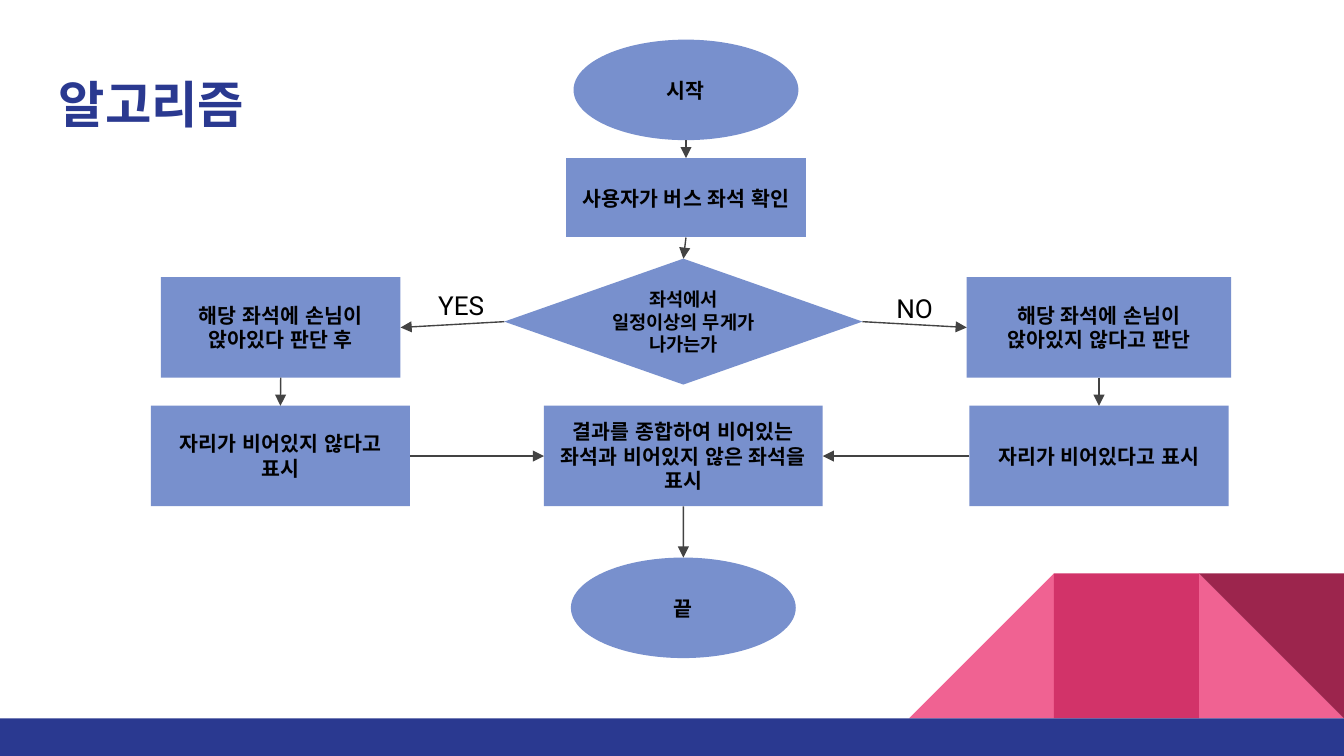
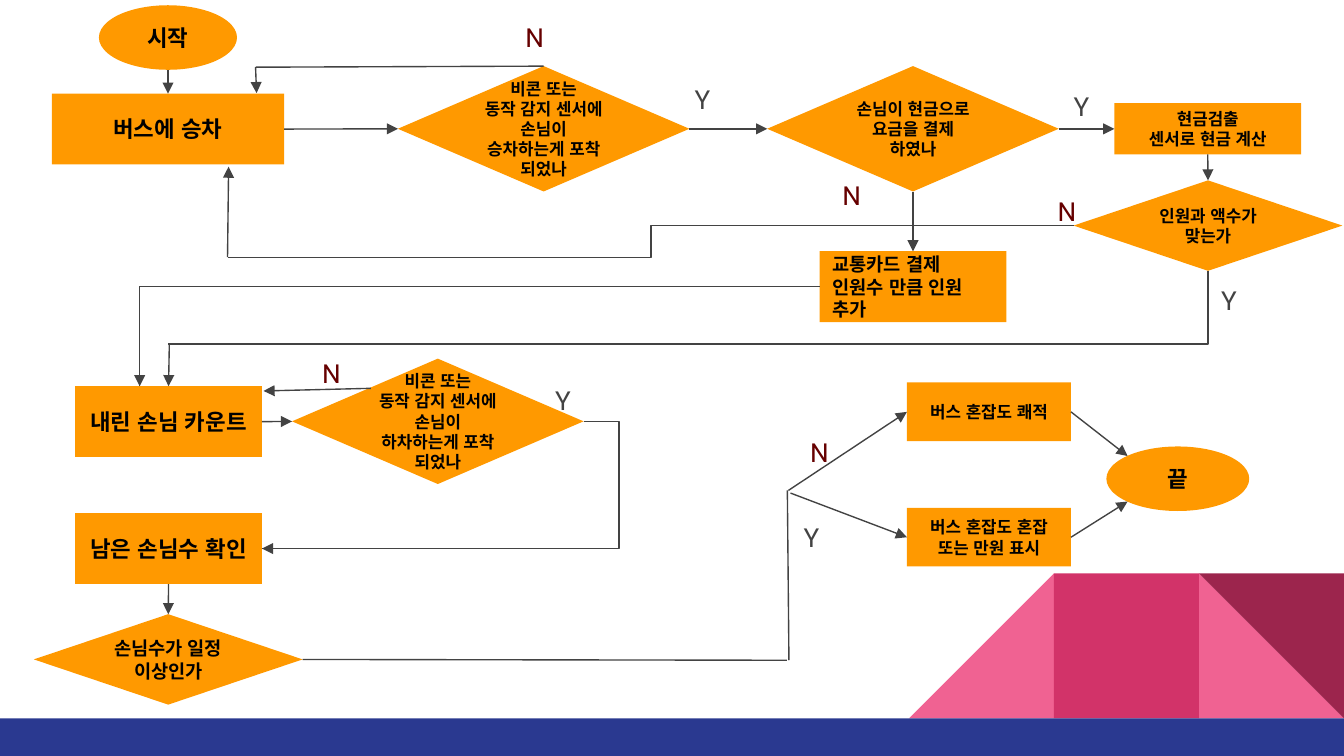
from dataclasses import dataclass

from lxml import etree
from pptx import Presentation
from pptx.dml.color import RGBColor
from pptx.enum.shapes import MSO_CONNECTOR, MSO_SHAPE
from pptx.enum.text import MSO_ANCHOR, MSO_AUTO_SIZE, PP_ALIGN
from pptx.oxml.ns import qn
from pptx.util import Cm, Pt

COLORS = {
    "navy": "2A3990", "pink": "F06292", "rose": "D23369", "wine": "9C254D",
    "blue": "7890CD", "orange": "FF9900", "black": "000000",
    "gray": "434343", "maroon": "660000",
}
RECT, OVAL = MSO_SHAPE.RECTANGLE, MSO_SHAPE.OVAL
PROCESS, DECISION = MSO_SHAPE.FLOWCHART_PROCESS, MSO_SHAPE.FLOWCHART_DECISION
JOINT, TRIANGLE = MSO_SHAPE.FLOWCHART_CONNECTOR, MSO_SHAPE.RIGHT_TRIANGLE
STRAIGHT, ELBOW = MSO_CONNECTOR.STRAIGHT, MSO_CONNECTOR.ELBOW
LEFT, CENTER = PP_ALIGN.LEFT, PP_ALIGN.CENTER
TOP, MIDDLE = MSO_ANCHOR.TOP, MSO_ANCHOR.MIDDLE
FIT_TEXT = MSO_AUTO_SIZE.SHAPE_TO_FIT_TEXT
NORTH, WEST, SOUTH, EAST = range(4)

SLIDE_W, SLIDE_H = 25.4, 14.29
BAND_TOP = 13.58
TILE = 2.74
INSET = 0.25
Point = tuple[float, float]


@dataclass(frozen=True)
class Node:
    kind: int
    x: float
    y: float
    w: float
    h: float
    text: str
    size: float
    align: int = CENTER

    def side(self, number: int) -> Point:
        return {
            NORTH: (self.x + self.w / 2, self.y),
            WEST: (self.x, self.y + self.h / 2),
            SOUTH: (self.x + self.w / 2, self.y + self.h),
            EAST: (self.x + self.w, self.y + self.h / 2),
        }[number]


@dataclass(frozen=True)
class Site:
    node: Node
    side: int


@dataclass(frozen=True)
class Link:
    start: Site | Point
    end: Site | Point
    arrow: bool = True


@dataclass(frozen=True)
class Bend:
    start: Point
    end: Point
    turn: float | None = None


@dataclass(frozen=True)
class Label:
    text: str
    x: float
    y: float
    w: float
    color: str


def yes(x: float, y: float) -> Label:
    return Label("Y", x, y, 0.56, "gray")


def no(x: float, y: float) -> Label:
    return Label("N", x, y, 1.17, "maroon")


def write(frame, text: str, *, size: float, font: str = "Arial", color: str = "black",
          bold: bool = False, align: int = LEFT, anchor: int = TOP) -> None:
    frame.word_wrap = True
    frame.vertical_anchor = anchor
    frame.margin_left = frame.margin_right = Cm(INSET)
    frame.margin_top = frame.margin_bottom = Cm(INSET)
    for index, line in enumerate(text.split("\n")):
        paragraph = frame.paragraphs[0] if index == 0 else frame.add_paragraph()
        paragraph.alignment = align
        run = paragraph.add_run()
        run.text = line
        run.font.size = Pt(size)
        run.font.bold = bold
        run.font.name = font
        run.font.color.rgb = RGBColor.from_string(COLORS[color])
        etree.SubElement(run.font._element, qn("a:ea"), typeface=font)


def draw_box(shapes, kind: int, x: float, y: float, w: float, h: float, color: str):
    box = shapes.add_shape(kind, Cm(x), Cm(y), Cm(w), Cm(h))
    box.shadow.inherit = False
    box.fill.solid()
    box.fill.fore_color.rgb = RGBColor.from_string(COLORS[color])
    box.line.fill.background()
    return box


def draw_backdrop(slide) -> None:
    shapes = slide.shapes.add_group_shape().shapes
    roof = BAND_TOP - TILE
    left, middle, right = (SLIDE_W - TILE * count for count in (3, 2, 1))
    draw_box(shapes, TRIANGLE, right, roof, TILE, TILE, "pink")
    slope = draw_box(shapes, TRIANGLE, left, roof, TILE, TILE, "pink")
    slope._element.spPr.find(qn("a:xfrm")).set("flipH", "1")
    draw_box(shapes, RECT, middle, roof, TILE, TILE, "rose")
    draw_box(shapes, TRIANGLE, right, roof, TILE, TILE, "wine").rotation = 180
    draw_box(shapes, RECT, 0, BAND_TOP, SLIDE_W, SLIDE_H - BAND_TOP, "navy")


def draw_line(slide, kind: int, start: Point, end: Point, arrow: bool):
    line = slide.shapes.add_connector(kind, *(Cm(value) for value in (*start, *end)))
    line.line.color.rgb = RGBColor.from_string(COLORS["gray"])
    line.line.width = Pt(0.75)
    if arrow:
        etree.SubElement(line.line._get_or_add_ln(), qn("a:tailEnd"), type="triangle")
    etree.SubElement(line._element.spPr, qn("a:effectLst"))
    return line


def draw_link(slide, link: Link, drawn: dict) -> None:
    start, end = (
        tip.node.side(tip.side) if isinstance(tip, Site) else tip
        for tip in (link.start, link.end)
    )
    line = draw_line(slide, STRAIGHT, start, end, link.arrow)
    for tip, join in ((link.start, line.begin_connect), (link.end, line.end_connect)):
        if isinstance(tip, Site) and tip.node.kind != OVAL:
            join(drawn[tip.node], tip.side)


def draw_bend(slide, bend: Bend) -> None:
    line = draw_line(slide, ELBOW, bend.start, bend.end, False)
    geometry = line._element.spPr.find(qn("a:prstGeom"))
    if bend.turn is not None:
        guides = geometry.find(qn("a:avLst"))
        if guides is None:
            guides = etree.SubElement(geometry, qn("a:avLst"))
        etree.SubElement(guides, qn("a:gd"), name="adj1",
                         fmla=f"val {round(bend.turn * 100000)}")
        return
    geometry.set("prst", "bentConnector2")
    (x1, y1), (x2, y2) = bend.start, bend.end
    across, down = x1 - x2, y2 - y1
    frame = line._element.spPr.find(qn("a:xfrm"))
    frame.attrib.pop("flipH", None)
    frame.set("rot", "5400000")
    line.left, line.top = Cm((x1 + x2 - down) / 2), Cm((y1 + y2 - across) / 2)
    line.width, line.height = Cm(down), Cm(across)


def draw_flow(slide, color: str, nodes: list[Node], links: list[Link],
              bends: list[Bend], labels: list[Label]) -> None:
    drawn = {}
    for node in nodes:
        drawn[node] = draw_box(slide.shapes, node.kind, node.x, node.y, node.w, node.h, color)
        write(drawn[node].text_frame, node.text, size=node.size, bold=True,
              align=node.align, anchor=MIDDLE)
    for link in links:
        draw_link(slide, link, drawn)
    for bend in bends:
        draw_bend(slide, bend)
    for label in labels:
        caption = slide.shapes.add_textbox(Cm(label.x), Cm(label.y), Cm(label.w), Cm(1.12))
        write(caption.text_frame, label.text, size=14, font="Roboto", color=label.color)
        caption.text_frame.auto_size = FIT_TEXT


def build_algorithm(slide) -> None:
    title = slide.shapes.add_textbox(Cm(0.86), Cm(1.14), Cm(4.52), Cm(1.68))
    write(title.text_frame, "알고리즘", size=27, font="Roboto", color="navy", bold=True)
    start = Node(OVAL, 10.84, 0.75, 4.25, 1.9, "시작", 11)
    check = Node(PROCESS, 10.7, 2.99, 4.53, 1.5, "사용자가 버스 좌석 확인", 11)
    weight = Node(DECISION, 9.53, 4.89, 6.77, 2.38, "좌석에서 일정이상의 무게가 나가는가", 10)
    seated = Node(RECT, 3.04, 5.24, 4.53, 1.9, "해당 좌석에 손님이 앉아있다 판단 후", 11)
    vacant = Node(RECT, 18.27, 5.24, 5, 1.9, "해당 좌석에 손님이 앉아있지 않다고 판단", 11)
    show_taken = Node(RECT, 2.85, 7.67, 4.9, 1.9, "자리가 비어있지 않다고 표시", 11)
    show_free = Node(RECT, 18.32, 7.67, 4.9, 1.9, "자리가 비어있다고 표시", 11)
    summary = Node(RECT, 10.28, 7.67, 5.27, 1.9,
                   "결과를 종합하여 비어있는 좌석과 비어있지 않은 좌석을 표시", 11)
    finish = Node(OVAL, 10.79, 10.54, 4.25, 1.9, "끝", 11)
    links = [
        Link(Site(start, SOUTH), Site(check, NORTH)),
        Link(Site(check, SOUTH), Site(weight, NORTH)),
        Link(Site(weight, WEST), Site(seated, EAST)),
        Link(Site(weight, EAST), Site(vacant, WEST)),
        Link(Site(show_taken, EAST), Site(summary, WEST)),
        Link(Site(seated, SOUTH), Site(show_taken, NORTH)),
        Link(Site(show_free, WEST), Site(summary, EAST)),
        Link(Site(vacant, SOUTH), Site(show_free, NORTH)),
        Link(Site(summary, SOUTH), Site(finish, NORTH)),
    ]
    labels = [Label("YES", 8.03, 5.23, 1.5, "black"), Label("NO", 16.69, 5.28, 1.5, "black")]
    draw_flow(slide, "blue", [start, check, weight, seated, vacant, show_taken,
                              show_free, summary, finish], links, [], labels)


def build_bus_flow(slide) -> None:
    start = Node(OVAL, 1.87, 0.1, 2.61, 1.22, "시작", 12)
    board = Node(RECT, 0.98, 1.77, 4.39, 1.34, "버스에 승차", 12)
    count = Node(RECT, 1.42, 7.3, 3.53, 1.34, "내린 손님 카운트", 12)
    remaining = Node(RECT, 1.42, 9.7, 3.53, 1.34, "남은 손님수 확인", 12)
    finish = Node(JOINT, 20.91, 8.44, 2.7, 1.22, "끝", 12)
    boarding = Node(DECISION, 7.52, 1.25, 5.51, 2.37,
                    "비콘 또는\n동작 감지 센서에 손님이 승차하는게 포착 되었나", 9)
    cash = Node(DECISION, 14.5, 1.25, 5.51, 2.37, "손님이 현금으로 요금을 결제 하였나", 9)
    cash_sensor = Node(RECT, 21.06, 1.95, 3.53, 0.97, "현금검출\n센서로 현금 계산", 9)
    match = Node(DECISION, 20.29, 3.41, 5.08, 1.71, "인원과 액수가 맞는가", 9)
    card = Node(RECT, 15.49, 4.75, 3.53, 1.34, "교통카드 결제 인원수 만큼 인원 추가", 10, LEFT)
    alighting = Node(DECISION, 5.52, 6.78, 5.51, 2.37,
                     "비콘 또는\n동작 감지 센서에 손님이 하차하는게 포착 되었나", 9)
    crowd = Node(DECISION, 0.64, 11.61, 5.08, 1.71, "손님수가 일정 이상인가", 10)
    pleasant = Node(RECT, 17.14, 7.23, 3.1, 1.11, "버스 혼잡도 쾌적", 9)
    crowded = Node(RECT, 17.14, 9.6, 3.1, 1.11, "버스 혼잡도 혼잡 또는 만원 표시", 9)
    links = [
        Link(Site(start, SOUTH), Site(board, NORTH)),
        Link(Site(board, EAST), Site(boarding, WEST)),
        Link(Site(boarding, EAST), Site(cash, WEST)),
        Link(Site(boarding, NORTH), (4.83, 1.27), False),
        Link((4.83, 1.27), (4.85, 1.76)),
        Link(Site(cash, EAST), Site(cash_sensor, WEST)),
        Link(Site(cash_sensor, SOUTH), Site(match, NORTH)),
        Link((4.3, 4.86), (4.32, 3.15)),
        Link(Site(cash, SOUTH), Site(card, NORTH)),
        Link((3.2, 6.5), Site(count, NORTH)),
        Link(Site(count, EAST), Site(alighting, WEST)),
        Link((7.01, 7.34), (4.98, 7.39)),
        Link((2.64, 5.42), (2.64, 7.3)),
        Link((6.15, 10.37), Site(remaining, EAST)),
        Link(Site(crowd, EAST), (14.87, 12.48), False),
        Link((14.91, 12.48), (14.88, 9.27), False),
        Link((14.9, 9.27), Site(pleasant, WEST)),
        Link((14.94, 9.32), Site(crowded, WEST)),
        Link(Site(pleasant, EAST), (21.31, 8.62)),
        Link(Site(crowded, EAST), (21.31, 9.48)),
        Link(Site(remaining, SOUTH), Site(crowd, NORTH)),
    ]
    bends = [
        Bend(match.side(SOUTH), (3.18, 6.5)),
        Bend(match.side(WEST), (4.32, 4.87), 0.5),
        Bend(card.side(WEST), (2.64, 7.3), 1),
        Bend(alighting.side(EAST), remaining.side(EAST), -0.11),
    ]
    labels = [
        no(9.68, 0.15), yes(12.88, 1.32), yes(20.04, 1.45), yes(22.83, 5.13),
        no(15.67, 3.15), no(5.84, 6.5), yes(10.24, 7.01), no(19.74, 3.45),
        yes(14.94, 9.6), no(15.06, 8),
    ]
    draw_flow(slide, "orange", [start, board, count, remaining, finish, boarding, cash,
                                cash_sensor, match, card, alighting, crowd, pleasant,
                                crowded], links, bends, labels)


def main() -> None:
    deck = Presentation()
    deck.slide_width, deck.slide_height = Cm(SLIDE_W), Cm(SLIDE_H)
    for build in (build_algorithm, build_bus_flow):
        slide = deck.slides.add_slide(deck.slide_layouts[6])
        draw_backdrop(slide)
        build(slide)
    deck.save("out.pptx")


if __name__ == "__main__":
    main()
